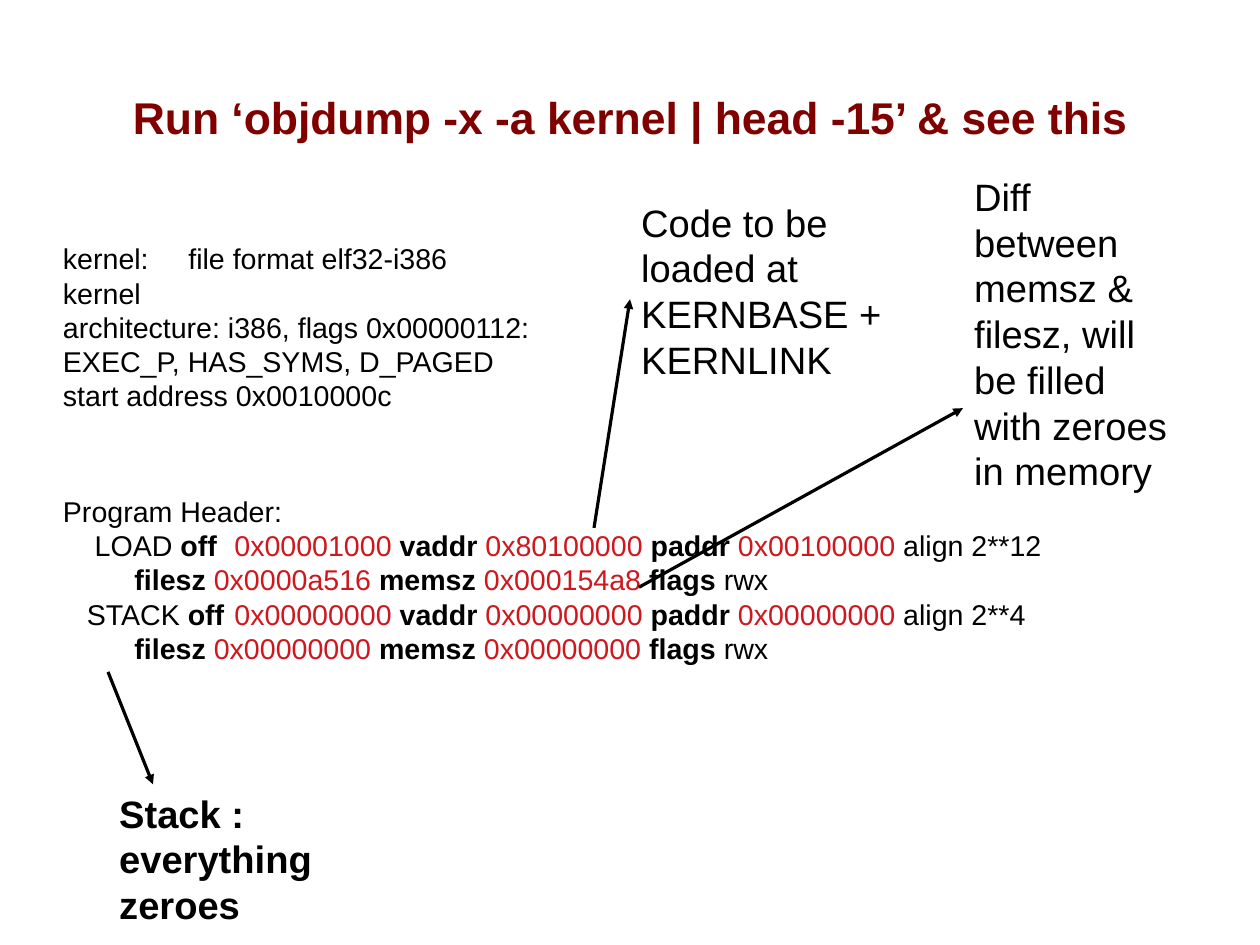
from pptx import Presentation
from pptx.dml.color import RGBColor
from pptx.enum.shapes import MSO_CONNECTOR as Link
from pptx.enum.text import MSO_ANCHOR as Anchor, PP_ALIGN as Align
from pptx.oxml.ns import qn
from pptx.util import Cm, Pt
from lxml.etree import SubElement as Sub

BLACK, RED, MAROON = "000000", "CE181E", "800000"
KEYS = ("off", "vaddr", "paddr", "filesz", "memsz", "flags")


def paint(color, code):
    color.rgb = RGBColor.from_string(code)


class Page:
    face = "Arial"

    def __init__(self, deck):
        self.slide = deck.slides.add_slide(deck.slide_layouts[5])

    def style(self, run, size, code=BLACK, bold=False):
        font = run.font
        font.name, font.size, font.bold = self.face, Pt(size), bold
        paint(font.color, code)

    def place(self, shape, box):
        shape.left, shape.top, shape.width, shape.height = map(Cm, box)

    def frame(self, shape, pad, anchor):
        frame = shape.text_frame
        frame.word_wrap = True
        frame.vertical_anchor = anchor
        frame.margin_left = frame.margin_right = Cm(pad)
        frame.margin_top = frame.margin_bottom = Cm(pad / 2)
        return frame

    def title(self, text, box):
        shape = self.slide.shapes.title
        self.place(shape, box)
        frame = self.frame(shape, 0, Anchor.MIDDLE)
        frame.text = text
        para = frame.paragraphs[0]
        para.alignment = Align.CENTER
        self.style(para.runs[0], 28, MAROON, True)

    def text(self, text, box, size, pad=0.25, bold=False):
        shape = self.slide.shapes.add_textbox(*map(Cm, box))
        frame = self.frame(shape, pad, Anchor.TOP)
        frame.text = text
        for para in frame.paragraphs:
            for run in para.runs:
                self.style(run, size, BLACK, bold)
        return frame

    def row(self, frame, line, size, indent, stop):
        para = frame.add_paragraph()
        for word in line.split(" "):
            run = para.add_run()
            run.text = word if word.endswith("\t") else word + " "
            code = RED if word.startswith("0x") else BLACK
            self.style(run, size, code, word.strip() in KEYS)
        para._p.get_or_add_pPr().set("indent", str(Pt(indent)))
        self.tab(para, stop)

    def tab(self, para, stop):
        tabs = Sub(para._p.get_or_add_pPr(), qn("a:tabLst"))
        Sub(tabs, qn("a:tab"), pos=str(Pt(stop)), algn="l")

    def arrow(self, *ends):
        line = self.slide.shapes.add_connector(Link.STRAIGHT, *map(Cm, ends))
        paint(line.line.color, BLACK)
        line.line.width = 0
        Sub(line.line._get_or_add_ln(), qn("a:tailEnd"), type="triangle")
        Sub(line._element.spPr, qn("a:effectLst"))


def main():
    deck = Presentation()
    deck.slide_width, deck.slide_height = Cm(28), Cm(21)
    page = Page(deck)
    page.title("Run ‘objdump -x -a kernel | head -15’ & see this",
               (1.4, 0.84, 25.2, 3.5))

    dump = page.text("\n".join((
        "kernel:\tfile format elf32-i386",
        "kernel",
        "architecture: i386, flags 0x00000112:",
        "EXEC_P, HAS_SYMS, D_PAGED",
        "start address 0x0010000c",
        "Program Header:",
    )), (1.4, 5.36, 25.2, 9.6), 18, 0)
    page.tab(dump.paragraphs[0], 79)
    dump.paragraphs[-1].space_before = Pt(51)

    parts = (
        ("LOAD", 20, 117, "0x00001000", "0x80100000", "0x00100000",
         "2**12", "0x0000a516", "0x000154a8"),
        ("STACK", 15, 121.5, "0x00000000", "0x00000000", "0x00000000",
         "2**4", "0x00000000", "0x00000000"),
    )
    for name, indent, stop, off, virt, phys, align, file, mem in parts:
        page.row(dump, f"{name} off\t {off} vaddr {virt} paddr {phys} align {align}",
                 18, indent, stop)
        page.row(dump, f"filesz {file} memsz {mem} flags rwx", 18, 45, stop)

    page.arrow(13.2, 11.73, 14, 6.65)
    page.text("Code to be loaded at KERNBASE + KERNLINK",
              (14, 4.3, 7, 4.04), 24)
    page.arrow(14.2, 13.05, 21.4, 9.07)
    page.text("Diff between memsz & filesz, will be filled with zeroes in memory",
              (21.4, 3.73, 4.8, 6.86), 24)
    page.arrow(2.4, 14.93, 3.4, 17.43)
    page.text("Stack : everything zeroes", (2.4, 17.43, 6.2, 4.04), 24, bold=True)
    deck.save("out.pptx")


if __name__ == "__main__":
    main()
